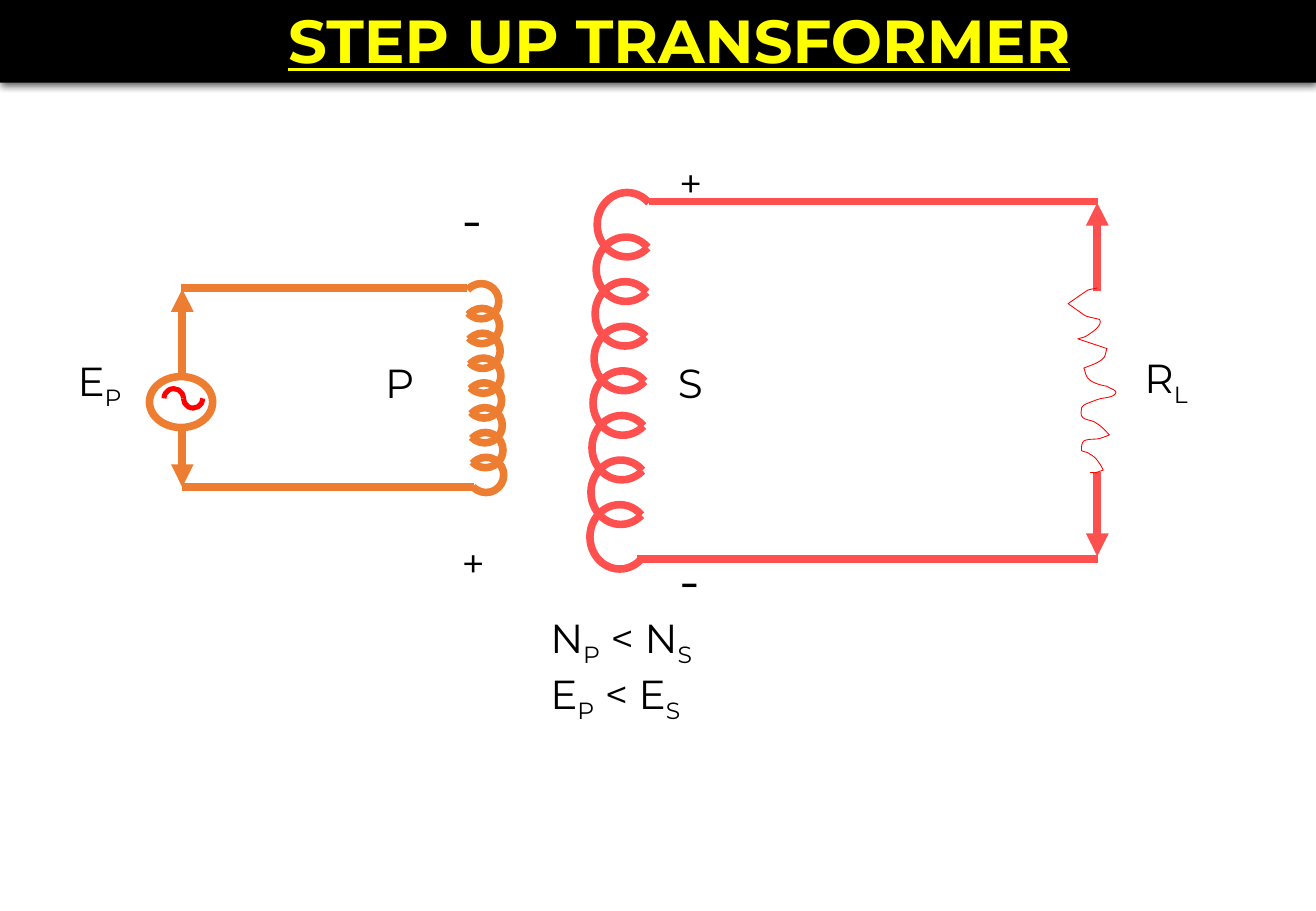
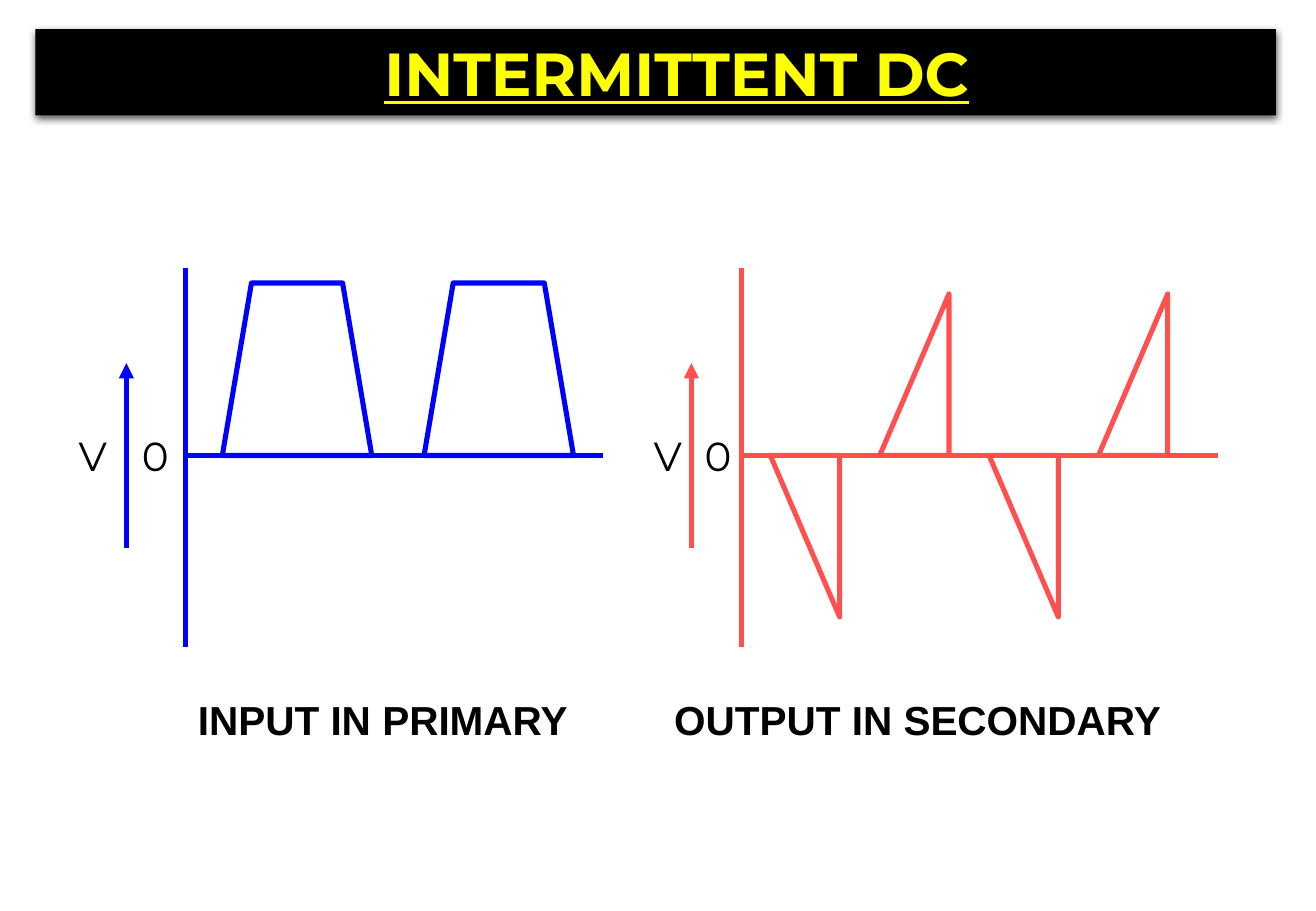
from lxml.etree import SubElement
from pptx import Presentation
from pptx.dml.color import RGBColor
from pptx.enum.shapes import MSO_CONNECTOR, MSO_SHAPE
from pptx.enum.text import MSO_ANCHOR, MSO_AUTO_SIZE, PP_ALIGN
from pptx.oxml import parse_xml
from pptx.oxml.ns import nsdecls, qn
from pptx.util import Inches, Pt

THEME = {
    "black": "000000", "white": "FFFFFF", "title": "FFFF00", "primary": "ED7D31",
    "secondary": "FF5050", "load": "FF0000", "input": "0000FF",
    "wire": 4.5, "graph": 3, "thin": 0.5,
    "heading_font": {"name": "Montserrat", "size": Pt(36), "bold": True, "underline": True},
    "label_font": {"name": "Montserrat", "size": Pt(24)},
    "sign_font": {"name": "Montserrat", "size": Pt(32)},
    "caption_font": {"name": "Arial", "size": Pt(24), "bold": True},
}
SLIDE_SIZE = (10.83, 7.5)
TURNS = 8

CIRCUIT = {
    "title": ("STEP UP TRANSFORMER", (0, -0.03, 10.83, 0.71)),
    "coils": [
        {"color": "secondary", "first": (5.16, 1.85), "last": (5.10, 4.42),
         "size": (0.49, 0.53), "angles": (48, 315)},
        {"color": "primary", "first": (3.96, 2.48), "last": (4.00, 3.91),
         "size": (0.29, 0.29), "angles": (220, 138)},
    ],
    "wires": [
        ("secondary", (5.24, 4.60), (9.04, 4.60), ()),
        ("secondary", (5.34, 1.66), (9.04, 1.66), ()),
        ("secondary", (9.03, 1.67), (9.03, 4.58), ("headEnd", "tailEnd")),
        ("primary", (3.90, 4.01), (1.50, 4.01), ()),
        ("primary", (3.84, 2.37), (1.49, 2.37), ()),
        ("primary", (1.50, 2.38), (1.50, 4.01), ("headEnd", "tailEnd")),
    ],
    "source": (1.23, 3.10, 0.52, 0.42),
    "wave": [((1.43, 3.28), (180, 0)), ((1.59, 3.28), (0, 180))],
    "gap": (8.93, 2.40, 0.23, 1.48),
    "resistor": [
        (9.03, 2.37), (9, 2.38, 8.97, 2.38, 8.95, 2.39), (8.89, 2.43, 8.79, 2.5, 8.79, 2.5),
        (8.98, 2.63, 8.89, 2.59, 9.05, 2.63), (9.08, 2.68, 8.98, 2.74, 8.95, 2.76),
        (8.92, 2.78, 8.9, 2.78, 8.87, 2.79), (9.11, 2.87),
        (9.1, 2.89, 9.1, 2.93, 9.08, 2.95), (9.04, 2.99, 8.97, 3.01, 8.92, 3.03),
        (8.93, 3.05, 8.93, 3.08, 8.95, 3.11), (8.98, 3.15, 9.05, 3.17, 9.11, 3.18),
        (9.13, 3.2, 9.2, 3.21, 9.18, 3.24), (9.15, 3.28, 9.08, 3.27, 9.03, 3.29),
        (8.95, 3.32), (8.93, 3.33, 8.9, 3.34, 8.9, 3.37), (8.88, 3.46, 8.95, 3.45, 9, 3.47),
        (9.07, 3.51, 9.08, 3.53, 9.13, 3.58), (9.11, 3.59, 9.08, 3.6, 9.05, 3.61),
        (9.01, 3.62, 8.96, 3.61, 8.92, 3.63), (8.9, 3.65, 8.9, 3.68, 8.9, 3.71),
        (8.92, 3.72, 8.95, 3.72, 8.97, 3.74), (9.02, 3.76, 9.06, 3.83, 9.08, 3.87),
        (8.99, 3.9, 9.03, 3.89, 8.97, 3.89),
    ],
    "labels": [
        ([("N", "P", " < N", "S"), ("E", "P", " < E", "S")], (4.43, 5, 1.65, 0.9), "label_font"),
        ([("S",)], (5.48, 2.90, 0.48, 0.5), "label_font"),
        ([("P",)], (3.07, 2.90, 0.48, 0.5), "label_font"),
        ([("E", "P")], (0.54, 2.88, 0.65, 0.5), "label_font"),
        ([("R", "L")], (9.32, 2.86, 0.61, 0.5), "label_font"),
        ([("+",)], (3.70, 4.38, 0.42, 0.5), "label_font"),
        ([("-",)], (3.70, 1.48, 0.35, 0.63), "sign_font"),
        ([("+",)], (5.49, 1.25, 0.42, 0.5), "label_font"),
        ([("-",)], (5.49, 4.45, 0.35, 0.63), "sign_font"),
    ],
}

GRAPHS = {
    "title": ("INTERMITTENT DC", (0.29, 0.24, 10.21, 0.71)),
    "zero": 3.75, "axis": (2.21, 5.33), "arrow": (2.99, 4.51),
    "plots": [
        {"color": "input", "origin": 1.53, "end": 4.96, "arrow": 1.04, "letters": (0.55, 1.07),
         "caption": "INPUT IN PRIMARY", "caption_box": (1.53, 5.67, 3.27, 0.9),
         "shape": MSO_SHAPE.TRAPEZOID, "start": 1.83, "pitch": 1.66, "size": (1.23, 1.42),
         "flips": [(), ()]},
        {"color": "secondary", "origin": 6.10, "end": 10.02, "arrow": 5.69, "letters": (5.28, 5.70),
         "caption": "OUTPUT IN SECONDARY", "caption_box": (5.45, 5.67, 4.33, 0.9),
         "shape": MSO_SHAPE.RIGHT_TRIANGLE, "start": 6.34, "pitch": 0.9, "size": (0.57, 1.33),
         "flips": [("flipH", "flipV"), ("flipH",)] * 2},
    ],
}


def color(name):
    return RGBColor.from_string(THEME[name])


def inches(values):
    return [Inches(value) for value in values]


def apply(target, values):
    for name, value in values.items():
        setattr(target, name, value)


def outline(shape, line_color, weight, fill=None):
    shape.shadow.inherit = False
    if fill:
        shape.fill.solid()
        shape.fill.fore_color.rgb = color(fill)
    else:
        shape.fill.background()
    shape.line.color.rgb = color(line_color)
    shape.line.width = Pt(weight)
    return shape


def add_outline(page, kind, area, line_color, weight, fill=None):
    return outline(page.shapes.add_shape(kind, *inches(area)), line_color, weight, fill)


def add_arc(page, centre, size, angles, line_color, weight):
    corner = [middle - length / 2 for middle, length in zip(centre, size)]
    arc = add_outline(page, MSO_SHAPE.ARC, (*corner, *size), line_color, weight)
    for index, angle in enumerate(angles):
        arc.adjustments[index] = angle * 0.6


def add_line(page, begin, end, line_color, weight, arrows=()):
    line = page.shapes.add_connector(MSO_CONNECTOR.STRAIGHT, *inches((*begin, *end)))
    line.line.color.rgb = color(line_color)
    line.line.width = Pt(weight)
    properties = line.element.spPr
    for arrow in arrows:
        SubElement(properties.get_or_add_ln(), qn("a:" + arrow), type="triangle")
    SubElement(properties, qn("a:effectLst"))


def add_text(page, lines, area, font, wrap=False):
    box = page.shapes.add_textbox(*inches(area))
    frame = box.text_frame
    frame.word_wrap = wrap
    frame.auto_size = MSO_AUTO_SIZE.NONE if wrap else MSO_AUTO_SIZE.SHAPE_TO_FIT_TEXT
    for number, pieces in enumerate(lines):
        para = frame.add_paragraph() if number else frame.paragraphs[0]
        for index, piece in enumerate(pieces):
            span = para.add_run()
            span.text = piece
            apply(span.font, THEME[font])
            span.font.color.rgb = color("black")
            if index % 2:
                span.font._element.set("baseline", "-25000")


def add_page(deck, title, area):
    page = deck.slides.add_slide(deck.slide_layouts[5])
    box = page.shapes.title
    apply(box, dict(zip(("left", "top", "width", "height"), inches(area))))
    box.fill.solid()
    box.fill.fore_color.rgb = color("black")
    box.element.spPr.append(parse_xml(
        f'<a:effectLst {nsdecls("a")}><a:outerShdw blurRad="{Pt(4.5)}" dist="{Pt(1.5)}" '
        'dir="5400000" rotWithShape="0"><a:srgbClr val="000000"><a:alpha val="63000"/>'
        '</a:srgbClr></a:outerShdw></a:effectLst>'))
    apply(box.text_frame, {
        "margin_left": Inches(0.45), "margin_right": Inches(0.1),
        "margin_top": Inches(0.05), "margin_bottom": Inches(0.05),
        "vertical_anchor": MSO_ANCHOR.MIDDLE, "auto_size": MSO_AUTO_SIZE.NONE,
        "word_wrap": True})
    para = box.text_frame.paragraphs[0]
    para.alignment = PP_ALIGN.CENTER
    span = para.add_run()
    span.text = title
    apply(span.font, THEME["heading_font"])
    span.font.color.rgb = color("title")
    return page


def trace(segments, steps=8):
    points = [segments[0]]
    for segment in segments[1:]:
        if len(segment) == 2:
            points.append(segment)
            continue
        start = points[-1]
        for step in range(1, steps + 1):
            t = step / steps
            points.append(tuple(
                (1 - t) ** 3 * start[axis] + 3 * (1 - t) ** 2 * t * segment[axis]
                + 3 * (1 - t) * t ** 2 * segment[axis + 2] + t ** 3 * segment[axis + 4]
                for axis in (0, 1)))
    return [tuple(inches(point)) for point in points]


def draw_circuit(deck):
    page = add_page(deck, *CIRCUIT["title"])
    wire = THEME["wire"]
    for coil in CIRCUIT["coils"]:
        for turn in range(TURNS):
            centre = [first + (last - first) * turn / (TURNS - 1)
                      for first, last in zip(coil["first"], coil["last"])]
            add_arc(page, centre, coil["size"], coil["angles"], coil["color"], wire)
    for line_color, begin, end, arrows in CIRCUIT["wires"]:
        add_line(page, begin, end, line_color, wire, arrows)
    add_outline(page, MSO_SHAPE.OVAL, CIRCUIT["source"], "primary", wire, "white")
    for centre, angles in CIRCUIT["wave"]:
        add_arc(page, centre, (0.16, 0.16), angles, "load", THEME["graph"])
    add_outline(page, MSO_SHAPE.RECTANGLE, CIRCUIT["gap"], "white", 1, "white")
    points = trace(CIRCUIT["resistor"])
    builder = page.shapes.build_freeform(*points[0])
    builder.add_line_segments(points[1:], close=False)
    outline(builder.convert_to_shape(), "load", THEME["thin"])
    for label in CIRCUIT["labels"]:
        add_text(page, *label)


def draw_graphs(deck):
    page = add_page(deck, *GRAPHS["title"])
    zero, weight = GRAPHS["zero"], THEME["graph"]
    for plot in GRAPHS["plots"]:
        origin, line_color = plot["origin"], plot["color"]
        add_line(page, (origin, zero), (plot["end"], zero), line_color, weight)
        for x, span, arrows in ((origin, GRAPHS["axis"], ()),
                                (plot["arrow"], GRAPHS["arrow"], ("headEnd",))):
            add_line(page, (x, span[0]), (x, span[1]), line_color, weight, arrows)
        width, height = plot["size"]
        for number, flips in enumerate(plot["flips"]):
            top = zero if "flipV" in flips else zero - height
            area = (plot["start"] + number * plot["pitch"], top, width, height)
            pulse = add_outline(page, plot["shape"], area, line_color, weight)
            if plot["shape"] == MSO_SHAPE.TRAPEZOID:
                pulse.adjustments[0] = 0.24 / width
            for flip in flips:
                pulse.element.spPr.xfrm.set(flip, "1")
        for letter, x, letter_width in zip("V0", plot["letters"], (0.5, 0.46)):
            add_text(page, [(letter,)], (x, 3.5, letter_width, 0.5), "label_font")
        add_text(page, [(plot["caption"],)], plot["caption_box"], "caption_font", wrap=True)


def main():
    deck = Presentation()
    deck.slide_width, deck.slide_height = inches(SLIDE_SIZE)
    draw_circuit(deck)
    draw_graphs(deck)
    deck.save("out.pptx")


if __name__ == "__main__":
    main()
